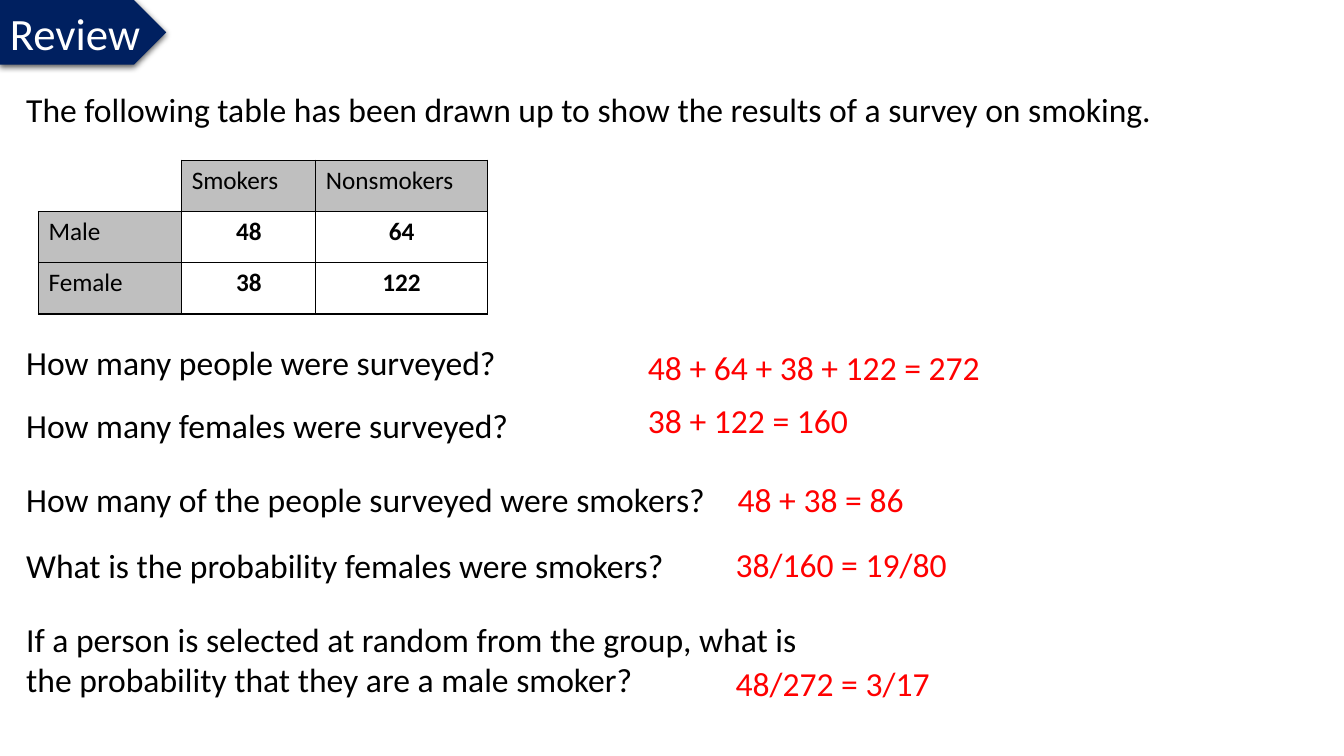
import pptx
import pptx.util
import pptx.dml.color
import pptx.enum.shapes
import pptx.enum.text
import pptx.oxml
import pptx.oxml.ns

Cm = pptx.util.Cm
Pt = pptx.util.Pt
RGBColor = pptx.dml.color.RGBColor

BLACK = RGBColor(0x00, 0x00, 0x00)
WHITE = RGBColor(0xFF, 0xFF, 0xFF)
RED = RGBColor(0xFF, 0x00, 0x00)
NAVY = RGBColor(0x00, 0x20, 0x60)
GREY = RGBColor(0xBF, 0xBF, 0xBF)

SURVEY = [
    ["", "Smokers", "Nonsmokers"],
    ["Male", "48", "64"],
    ["Female", "38", "122"],
]
COLUMN_WIDTHS = [3.61, 3.38, 4.32]
ROW_HEIGHT = 1.29

QUESTION_LEFT = 0.41
QUESTIONS = [
    (8.48, 1.28, "How many people were surveyed?"),
    (10.08, 1.28, "How many females were surveyed?"),
    (11.94, 1.28, "How many of the people surveyed were smokers?"),
    (13.61, 1.28, "What is the probability females were smokers?"),
    (15.47, 2.31, "If a person is selected at random from the group, "
                  "what is the probability that they are a male smoker?"),
]
ANSWERS = [
    (16.08, 8.61, "48 + 64 + 38 + 122 = 272"),
    (16.08, 9.96, "38 + 122 = 160"),
    (18.34, 11.94, "48 + 38 = 86"),
    (18.29, 13.59, "38/160 = 19/80"),
    (18.29, 16.59, "48/272 = 3/17"),
]


class ReviewSlide:
    font_name = "Calibri"
    body_size = 24
    table_size = 18
    title_size = 32

    def __init__(self, slide):
        self.slide = slide

    def set_text(self, frame, text, size, color, bold=False, centred=False):
        paragraph = frame.paragraphs[0]
        paragraph.text = text
        alignment = pptx.enum.text.PP_ALIGN
        paragraph.alignment = alignment.CENTER if centred else alignment.LEFT
        paragraph.font.name = self.font_name
        paragraph.font.size = Pt(size)
        paragraph.font.bold = bold
        paragraph.font.color.rgb = color

    def add_text(self, left, top, width, text, color=BLACK, height=1.28):
        shape = self.slide.shapes.add_textbox(Cm(left), Cm(top), Cm(width), Cm(height))
        shape.text_frame.word_wrap = True
        self.set_text(shape.text_frame, text, self.body_size, color)

    def add_tag(self, text):
        shape = self.slide.shapes.add_shape(
            pptx.enum.shapes.MSO_SHAPE.PENTAGON, 0, 0, Cm(4.19), Cm(1.63))
        shape.fill.solid()
        shape.fill.fore_color.rgb = NAVY
        shape.line.fill.background()
        shape.shadow.inherit = False
        effects = shape.element.spPr.find(pptx.oxml.ns.qn("a:effectLst"))
        effects.append(pptx.oxml.parse_xml(
            f'<a:outerShdw {pptx.oxml.ns.nsdecls("a")} blurRad="{Pt(4.5)}" '
            f'dist="{Pt(1.5)}" dir="5400000" algn="ctr" rotWithShape="0">'
            '<a:srgbClr val="000000"><a:alpha val="63000"/></a:srgbClr></a:outerShdw>'))
        shape.text_frame.word_wrap = False
        shape.text_frame.vertical_anchor = pptx.enum.text.MSO_ANCHOR.MIDDLE
        self.set_text(shape.text_frame, text, self.title_size, WHITE)

    def add_borders(self, cell, hidden):
        properties = cell._tc.get_or_add_tcPr()
        for side in ("lnL", "lnR", "lnT", "lnB"):
            paint = (
                "<a:noFill/>" if side in hidden
                else f'<a:solidFill><a:srgbClr val="{BLACK}"/></a:solidFill>')
            properties.append(pptx.oxml.parse_xml(
                f'<a:{side} {pptx.oxml.ns.nsdecls("a")} w="{Pt(1)}">{paint}</a:{side}>'))

    def add_table(self, left, top, rows, widths, row_height):
        table = self.slide.shapes.add_table(
            len(rows), len(widths), Cm(left), Cm(top),
            Cm(sum(widths)), Cm(row_height * len(rows))).table
        table.first_row = False
        table.horz_banding = False
        for column, width in zip(table.columns, widths):
            column.width = Cm(width)
        for row_index, values in enumerate(rows):
            table.rows[row_index].height = Cm(row_height)
            for column_index, value in enumerate(values):
                cell = table.cell(row_index, column_index)
                is_corner = row_index == column_index == 0
                is_value = row_index > 0 and column_index > 0
                self.add_borders(cell, ("lnL", "lnT") if is_corner else ())
                cell.fill.solid()
                cell.fill.fore_color.rgb = WHITE if is_corner or is_value else GREY
                self.set_text(cell.text_frame, value, self.table_size, BLACK,
                              bold=is_value, centred=is_value)


def main():
    presentation = pptx.Presentation()
    presentation.slide_width = Cm(33.87)
    presentation.slide_height = Cm(19.05)
    review = ReviewSlide(presentation.slides.add_slide(presentation.slide_layouts[6]))

    review.add_table(0.97, 4.04, SURVEY, COLUMN_WIDTHS, ROW_HEIGHT)
    review.add_tag("Review")
    review.add_text(
        QUESTION_LEFT, 2.11, 32.28,
        "The following table has been drawn up to show the results of a survey on smoking.")
    for top, height, question in QUESTIONS:
        review.add_text(QUESTION_LEFT, top, 20.4, question, height=height)
    for left, top, answer in ANSWERS:
        review.add_text(left, top, 9.91, answer, RED)

    presentation.save("out.pptx")


if __name__ == "__main__":
    main()
